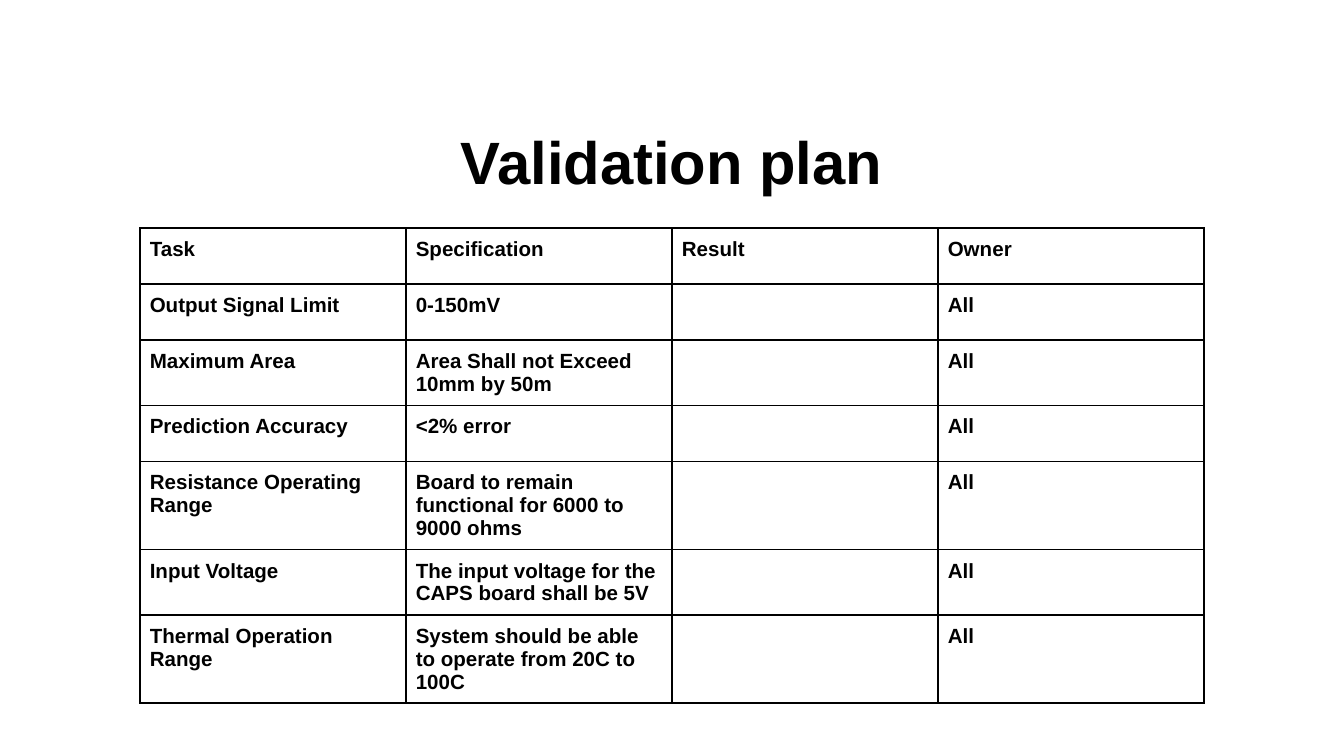
"""Build the validation plan slide: a centred title above a task table."""
import lxml.etree
import pptx
import pptx.dml.color
import pptx.enum.text
import pptx.oxml.ns
import pptx.util

SCALE = 9525
COLORS = {"ink": "000000", "paper": "FFFFFF"}
INK = pptx.dml.color.RGBColor.from_string(COLORS["ink"])
TITLE_BOX = {"left": 48, "top": 83, "width": 864, "height": 63}
TABLE_LEFT, TABLE_TOP = 100, 163
COLUMN_WIDTH, ROW_HEIGHT, CELL_MARGIN = 190, 40, 7
CELL_SIZE = pptx.util.Pt(11)
BORDER_WIDTH = pptx.util.Pt(1)

HEADINGS = ("Task", "Specification", "Result", "Owner")
TASKS = (
    ("Output Signal Limit", "0-150mV"),
    ("Maximum Area", "Area Shall not Exceed 10mm by 50m"),
    ("Prediction Accuracy", "<2% error"),
    ("Resistance Operating Range", "Board to remain functional for 6000 to 9000 ohms"),
    ("Input Voltage", "The input voltage for the CAPS board shall be 5V"),
    ("Thermal Operation Range", "System should be able to operate from 20C to 100C"),
)
rows = [HEADINGS] + [(task, specification, "", "All") for task, specification in TASKS]


def format_font(font, size):
    for name, value in {"name": "Arial", "size": size, "bold": True}.items():
        setattr(font, name, value)
    font.color.rgb = INK


def add_borders(cell):
    properties = cell._tc.get_or_add_tcPr()
    for side in ("lnL", "lnR", "lnT", "lnB"):
        line = lxml.etree.SubElement(
            properties, pptx.oxml.ns.qn(f"a:{side}"), w=str(BORDER_WIDTH))
        fill = lxml.etree.SubElement(line, pptx.oxml.ns.qn("a:solidFill"))
        lxml.etree.SubElement(fill, pptx.oxml.ns.qn("a:srgbClr"), val=COLORS["ink"])


presentation = pptx.Presentation()
presentation.slide_width = 960 * SCALE
presentation.slide_height = 540 * SCALE
slide = presentation.slides.add_slide(presentation.slide_layouts[5])
slide.background.fill.solid()
slide.background.fill.fore_color.rgb = pptx.dml.color.RGBColor.from_string(COLORS["paper"])

title = slide.shapes.title
for name, value in TITLE_BOX.items():
    setattr(title, name, value * SCALE)
title.text_frame.text = "Validation plan"
title.text_frame.vertical_anchor = pptx.enum.text.MSO_ANCHOR.MIDDLE
paragraph = title.text_frame.paragraphs[0]
paragraph.alignment = pptx.enum.text.PP_ALIGN.CENTER
format_font(paragraph.runs[0].font, pptx.util.Pt(32))

table = slide.shapes.add_table(
    len(rows), len(HEADINGS), TABLE_LEFT * SCALE, TABLE_TOP * SCALE,
    len(HEADINGS) * COLUMN_WIDTH * SCALE, len(rows) * ROW_HEIGHT * SCALE).table
table.first_row = False
table.horz_banding = False

for row_index, row in enumerate(rows):
    for column_index, text in enumerate(row):
        cell = table.cell(row_index, column_index)
        for side in ("left", "right", "top", "bottom"):
            setattr(cell, f"margin_{side}", CELL_MARGIN * SCALE)
        add_borders(cell)
        cell.fill.background()
        paragraph = cell.text_frame.paragraphs[0]
        if text:
            run = paragraph.add_run()
            run.text = text
            format_font(run.font, CELL_SIZE)
        else:
            lxml.etree.SubElement(
                paragraph._p, pptx.oxml.ns.qn("a:endParaRPr"), sz=str(CELL_SIZE.centipoints))

presentation.save("out.pptx")
